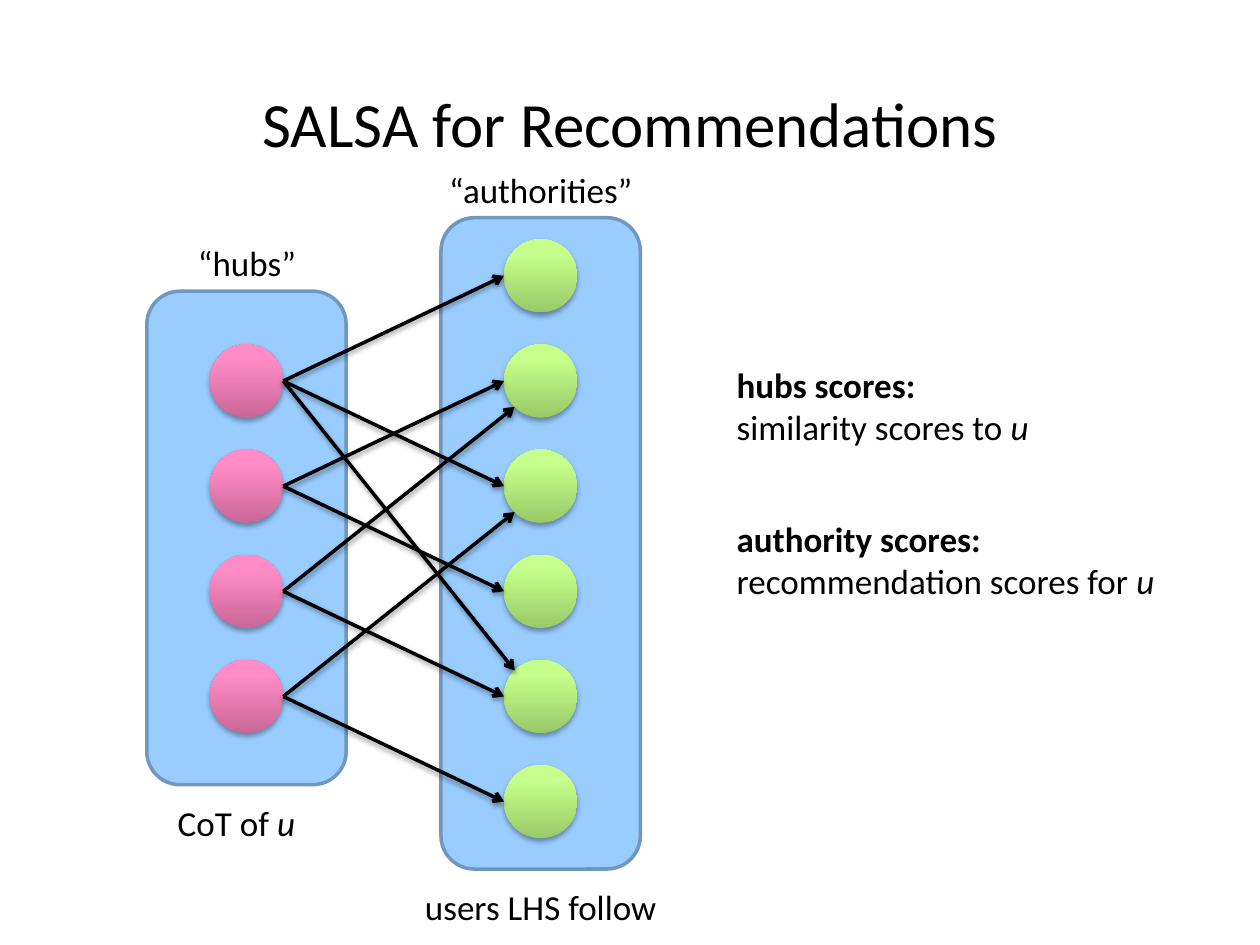
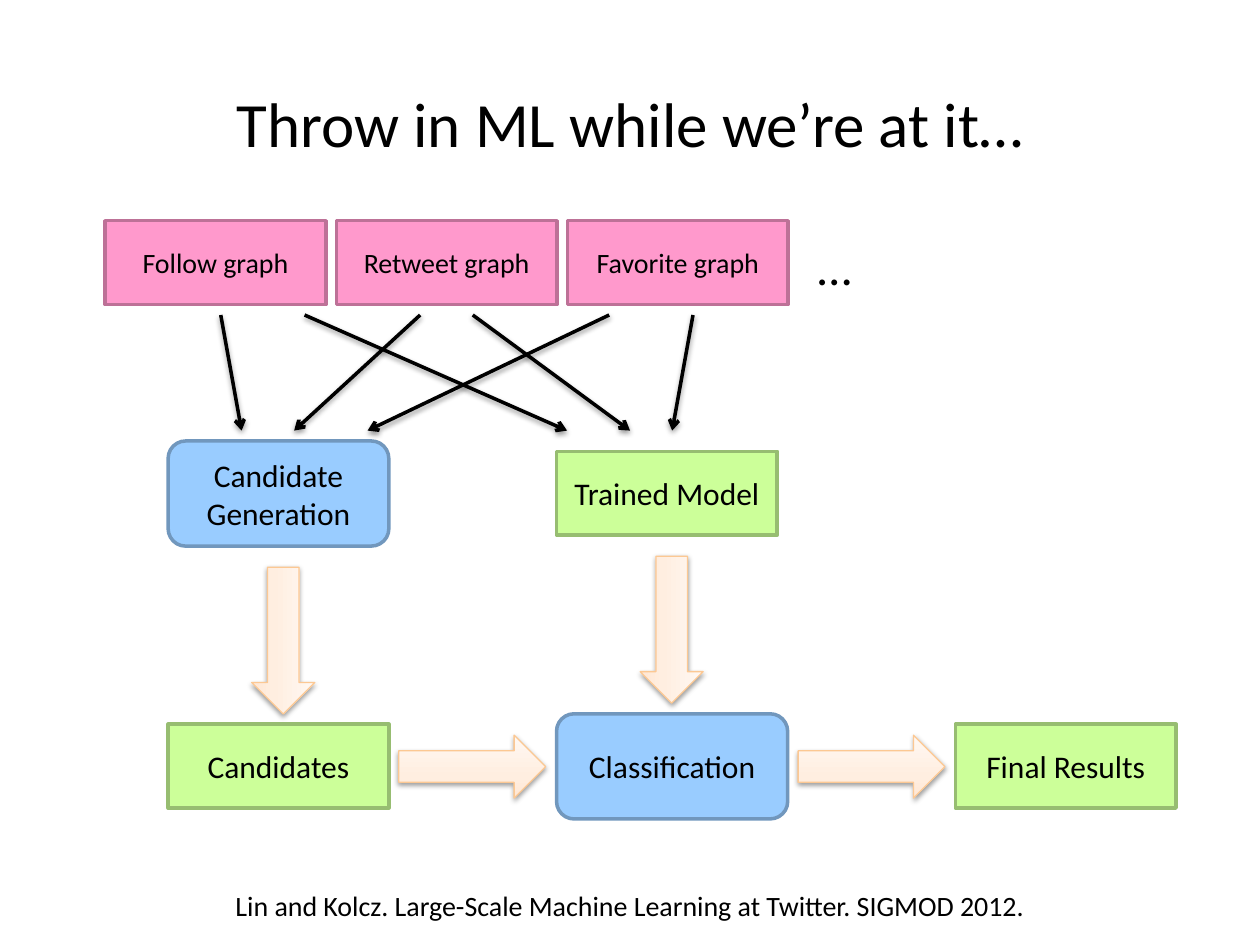
from lxml.etree import SubElement
from pptx import Presentation
from pptx.dml.color import RGBColor
from pptx.enum.shapes import MSO_CONNECTOR, MSO_SHAPE
from pptx.enum.text import MSO_ANCHOR, MSO_AUTO_SIZE, PP_ALIGN
from pptx.oxml.ns import qn
from pptx.util import Cm, Pt

FONT = "Calibri"
COLORS = {
    "text": "000000",
    "blue": "99CCFF", "blue_edge": "7197BD",
    "green": "CCFF99", "green_edge": "97BD71",
    "pink": "FF99CC", "pink_edge": "BD7197",
    "flow_edge": "FCC893",
}
GRADIENTS = {
    "hub": [(0, "CA6798"), (80, "FF8CC6"), (100, "FF8EC7")],
    "authority": [(0, "98CA67"), (80, "C6FF8C"), (100, "C7FF8E")],
    "flow": [(0, "FFE7D4"), (35, "FFEEE0"), (100, "FFF8F3")],
}
NODE_SIZE = 1.48
NODE_TOP = 4.82
NODE_PITCH = 2.12
HUB_LEFT, AUTHORITY_LEFT = 4.23, 10.16
DIAGONAL_INSET = NODE_SIZE / 2 * (1 - 0.5 ** 0.5)
BOX_WIDTH, BOX_HEIGHT = 4.45, 1.69


def rgb(name):
    return RGBColor.from_string(COLORS[name])


def style_paragraph(paragraph, size, align):
    paragraph.alignment = align
    font = paragraph.font
    font.name, font.size = FONT, Pt(size)
    font.color.rgb = rgb("text")


def cast_shadow(effects, opacity, distance):
    shadow = SubElement(effects, qn("a:outerShdw"), blurRad=str(Pt(3.1)),
                        dist=str(Pt(distance)), dir="5400000", rotWithShape="0")
    color = SubElement(shadow, qn("a:srgbClr"), val="000000")
    SubElement(color, qn("a:alpha"), val=str(opacity * 1000))


def add_titled_slide(prs, title):
    slide = prs.slides.add_slide(prs.slide_layouts[5])
    heading = slide.shapes.title
    heading.left, heading.top = Cm(0), Cm(1.52)
    heading.width, heading.height = prs.slide_width, Cm(1.91)
    frame = heading.text_frame
    frame.text = title
    frame.auto_size = MSO_AUTO_SIZE.NONE
    frame.vertical_anchor = MSO_ANCHOR.MIDDLE
    style_paragraph(frame.paragraphs[0], 36, PP_ALIGN.CENTER)
    return slide


def add_label(slide, left, top, width, height, text, symbol="", heading="",
              size=20, align=PP_ALIGN.CENTER):
    label = slide.shapes.add_textbox(Cm(left), Cm(top), Cm(width), Cm(height))
    frame = label.text_frame
    frame.word_wrap = True
    paragraph = frame.paragraphs[0]
    style_paragraph(paragraph, size, align)
    if heading:
        run = paragraph.add_run()
        run.text, run.font.bold = heading, True
        paragraph.add_line_break()
    paragraph.add_run().text = text
    if symbol:
        run = paragraph.add_run()
        run.text, run.font.italic = symbol, True


def add_box(slide, preset, left, top, width, height, color, text="", size=18):
    box = slide.shapes.add_shape(preset, Cm(left), Cm(top), Cm(width), Cm(height))
    box.shadow.inherit = False
    box.fill.solid()
    box.fill.fore_color.rgb = rgb(color)
    box.line.color.rgb = rgb(color + "_edge")
    box.line.width = Pt(2)
    if text:
        frame = box.text_frame
        frame.text = text
        frame.word_wrap = True
        frame.vertical_anchor = MSO_ANCHOR.MIDDLE
        style_paragraph(frame.paragraphs[0], size, PP_ALIGN.CENTER)


def add_shaded(slide, preset, left, top, width, height, gradient, opacity, distance):
    shaded = slide.shapes.add_shape(preset, Cm(left), Cm(top), Cm(width), Cm(height))
    shaded.fill.gradient()
    shaded.fill.gradient_angle = 90
    properties = shaded.element.spPr
    stops = properties.find(".//" + qn("a:gsLst"))
    for stop in list(stops):
        stops.remove(stop)
    for position, color in GRADIENTS[gradient]:
        stop = SubElement(stops, qn("a:gs"), pos=str(position * 1000))
        SubElement(stop, qn("a:srgbClr"), val=color)
    shaded.line.fill.background()
    shaded.shadow.inherit = False
    cast_shadow(properties.find(qn("a:effectLst")), opacity, distance)
    return shaded


def add_node(slide, left, row, kind):
    add_shaded(slide, MSO_SHAPE.OVAL, left, NODE_TOP + row * NODE_PITCH,
               NODE_SIZE, NODE_SIZE, kind, 35, 1.8)


def add_flow(slide, left, top, rotation=0):
    flow = add_shaded(slide, MSO_SHAPE.RIGHT_ARROW, left, top, 2.96, 1.27,
                      "flow", 38, 1.6)
    flow.line.color.rgb = rgb("flow_edge")
    flow.line.width = Pt(0.75)
    flow.rotation = rotation


def add_arrow(slide, x1, y1, x2, y2):
    arrow = slide.shapes.add_connector(MSO_CONNECTOR.STRAIGHT,
                                       Cm(x1), Cm(y1), Cm(x2), Cm(y2))
    arrow.line.color.rgb = rgb("text")
    arrow.line.width = Pt(2)
    properties = arrow.element.spPr
    SubElement(properties.find(qn("a:ln")), qn("a:tailEnd"), type="arrow")
    cast_shadow(SubElement(properties, qn("a:effectLst")), 38, 1.6)


def add_follow_edge(slide, hub_row, authority_row):
    start = NODE_TOP + hub_row * NODE_PITCH + NODE_SIZE / 2
    end = NODE_TOP + authority_row * NODE_PITCH + NODE_SIZE / 2
    end_left = AUTHORITY_LEFT
    step = authority_row - hub_row
    if abs(step) > 1:
        end_left += DIAGONAL_INSET
        end -= (NODE_SIZE / 2 - DIAGONAL_INSET) * (1 if step > 0 else -1)
    add_arrow(slide, HUB_LEFT + NODE_SIZE, start, end_left, end)


def build_salsa(prs):
    slide = add_titled_slide(prs, "SALSA for Recommendations")
    add_box(slide, MSO_SHAPE.ROUNDED_RECTANGLE, 2.96, 5.87, 4.02, 9.95, "blue")
    add_box(slide, MSO_SHAPE.ROUNDED_RECTANGLE, 8.89, 4.39, 4.02, 13.13, "blue")
    for row in range(1, 5):
        add_node(slide, HUB_LEFT, row, "hub")
    for row in range(6):
        add_node(slide, AUTHORITY_LEFT, row, "authority")
    followed = {1: (0, 2, 4), 2: (1, 3), 3: (1, 4), 4: (5, 2)}
    for hub_row, authority_rows in followed.items():
        for authority_row in authority_rows:
            add_follow_edge(slide, hub_row, authority_row)

    add_label(slide, 3.39, 4.75, 3.18, 1.11, "“hubs”")
    add_label(slide, 8.68, 3.27, 4.45, 1.11, "“authorities”")
    add_label(slide, 2.54, 16.03, 4.45, 1.11, "CoT of ", "u")
    add_label(slide, 7.62, 17.73, 6.56, 1.11, "users LHS follow")
    add_label(slide, 14.6, 7.2, 8.68, 1.96, "similarity scores to ", "u",
              heading="hubs scores:", align=PP_ALIGN.LEFT)
    add_label(slide, 14.6, 10.31, 9.95, 1.96, "recommendation scores for ", "u",
              heading="authority scores:", align=PP_ALIGN.LEFT)


def build_pipeline(prs):
    slide = add_titled_slide(prs, "Throw in ML while we’re at it…")
    for column, graph in enumerate(("Follow", "Retweet", "Favorite")):
        add_box(slide, MSO_SHAPE.RECTANGLE, 2.12 + column * 4.66, 4.45,
                BOX_WIDTH, BOX_HEIGHT, "pink", f"{graph} graph", 16)
    add_label(slide, 14.18, 4.65, 5.29, 1.45, "…", size=28)

    for left, top, width, step in (
        (3.39, 8.89, 4.45, "Candidate Generation"),
        (11.22, 14.39, 4.66, "Classification"),
    ):
        add_box(slide, MSO_SHAPE.ROUNDED_RECTANGLE, left, top, width, 2.12, "blue", step)
    for left, top, product in (
        (3.39, 14.6, "Candidates"),
        (11.22, 9.1, "Trained Model"),
        (19.26, 14.6, "Final Results"),
    ):
        add_box(slide, MSO_SHAPE.RECTANGLE, left, top, BOX_WIDTH, BOX_HEIGHT,
                "green", product)

    for left, top, rotation in ((8.04, 14.82, 0), (16.09, 14.82, 0),
                                (4.23, 12.28, 90), (12.06, 12.06, 90)):
        add_flow(slide, left, top, rotation)
    for start, end in ((4.45, 4.87), (8.47, 5.93), (12.28, 7.41),
                       (6.14, 11.43), (9.53, 12.7), (13.97, 13.55)):
        add_arrow(slide, start, 6.35, end, 8.68)

    add_label(slide, 0, 17.78, 25.4, 0.94,
              "Lin and Kolcz. Large-Scale Machine Learning at Twitter. SIGMOD 2012.",
              size=16)


def main():
    prs = Presentation()
    prs.slide_width, prs.slide_height = Cm(25.4), Cm(19.05)
    build_salsa(prs)
    build_pipeline(prs)
    prs.save("out.pptx")


if __name__ == "__main__":
    main()
